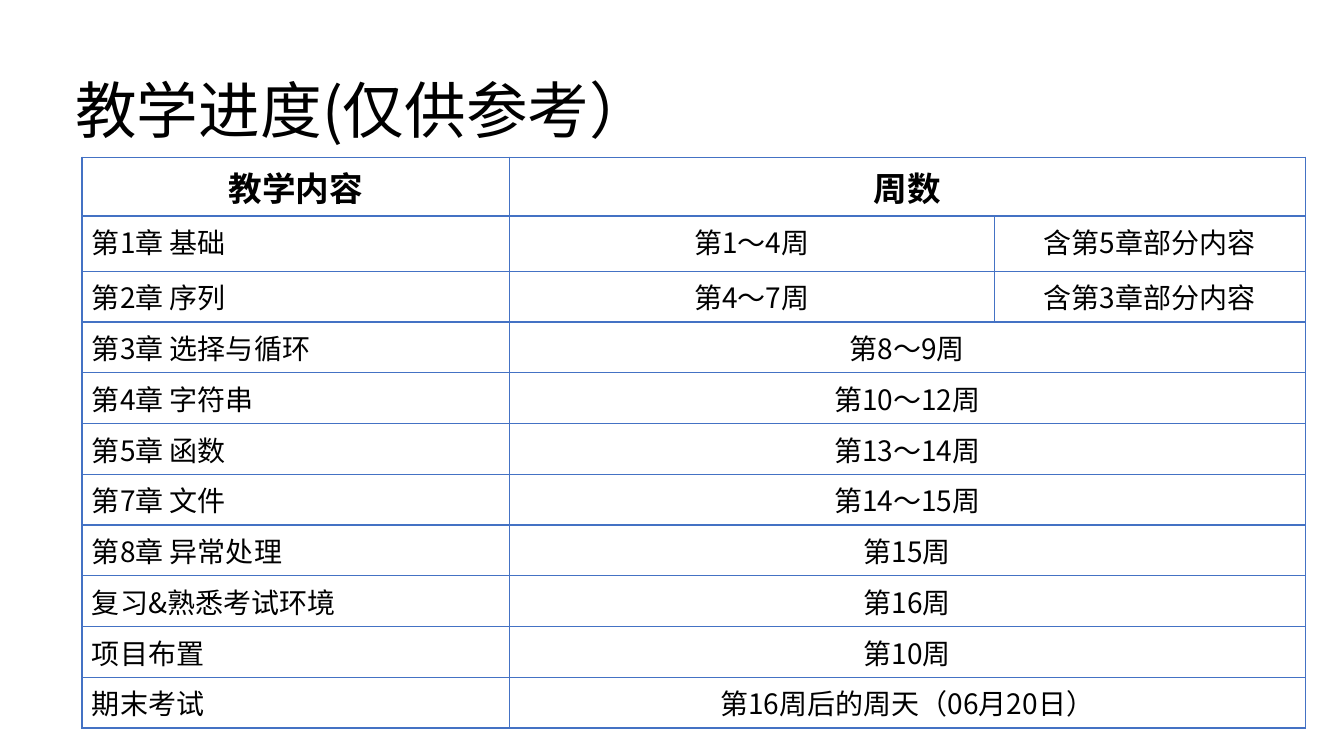
from lxml.etree import SubElement
from pptx import Presentation
from pptx.dml.color import RGBColor
from pptx.enum.text import MSO_ANCHOR, PP_ALIGN
from pptx.oxml.ns import qn
from pptx.util import Pt

FONT = "Noto Sans CJK SC"
BLACK = RGBColor(0x00, 0x00, 0x00)
BLUE = RGBColor(0x44, 0x72, 0xC4)

COL_WIDTHS = [305.3, 346.5, 222]
ROW_HEIGHTS = [42, 39.4] + [36.2] * 9
SCHEDULE = [
    ("教学内容", "周数"),
    ("第1章 基础", "第1～4周", "含第5章部分内容"),
    ("第2章 序列", "第4～7周", "含第3章部分内容"),
    ("第3章 选择与循环", "第8～9周"),
    ("第4章 字符串", "第10～12周"),
    ("第5章 函数", "第13～14周"),
    ("第7章 文件", "第14～15周"),
    ("第8章 异常处理", "第15周"),
    ("复习&熟悉考试环境", "第16周"),
    ("项目布置", "第10周"),
    ("期末考试", "第16周后的周天（06月20日）"),
]


def write(tf, text, size, bold=False, align=PP_ALIGN.LEFT):
    p = tf.paragraphs[0]
    p.text = text
    p.alignment = align
    r = p.runs[0]
    r.font.size = Pt(size)
    r.font.bold = bold
    r.font.name = FONT
    r.font.color.rgb = BLACK
    SubElement(r.font._element, qn("a:ea"), typeface=FONT)
    return p


def add_borders(cell):
    tcPr = cell._tc.get_or_add_tcPr()
    for side in ("a:lnL", "a:lnR", "a:lnT", "a:lnB"):
        ln = SubElement(tcPr, qn(side), w=str(Pt(1)))
        fill = SubElement(ln, qn("a:solidFill"))
        SubElement(fill, qn("a:srgbClr"), val=str(BLUE))


prs = Presentation()
prs.slide_width = Pt(960)
prs.slide_height = Pt(540)
s = prs.slides.add_slide(prs.slide_layouts[6])

frame = s.shapes.add_table(
    len(SCHEDULE), len(COL_WIDTHS), Pt(58.5), Pt(112.3),
    Pt(sum(COL_WIDTHS)), Pt(sum(ROW_HEIGHTS)))
table = frame.table
table.first_row = False
table.horz_banding = False
for column, width in zip(table.columns, COL_WIDTHS):
    column.width = Pt(width)
for row, height in zip(table.rows, ROW_HEIGHTS):
    row.height = Pt(height)

for i, texts in enumerate(SCHEDULE):
    header = i == 0
    for j in range(len(COL_WIDTHS)):
        cell = table.cell(i, j)
        add_borders(cell)
        cell.fill.background()
    if len(texts) == 2:
        table.cell(i, 1).merge(table.cell(i, 2))
    for j, text in enumerate(texts):
        align = PP_ALIGN.CENTER if header or j > 0 else PP_ALIGN.LEFT
        write(table.cell(i, j).text_frame, text, 24 if header else 20, header, align)

title = s.shapes.add_textbox(Pt(46.8), Pt(28.8), Pt(828), Pt(104.4))
tf = title.text_frame
tf.word_wrap = True
tf.vertical_anchor = MSO_ANCHOR.MIDDLE
p = write(tf, "教学进度(仅供参考）", 44)
p.line_spacing = 0.9

prs.save("out.pptx")
